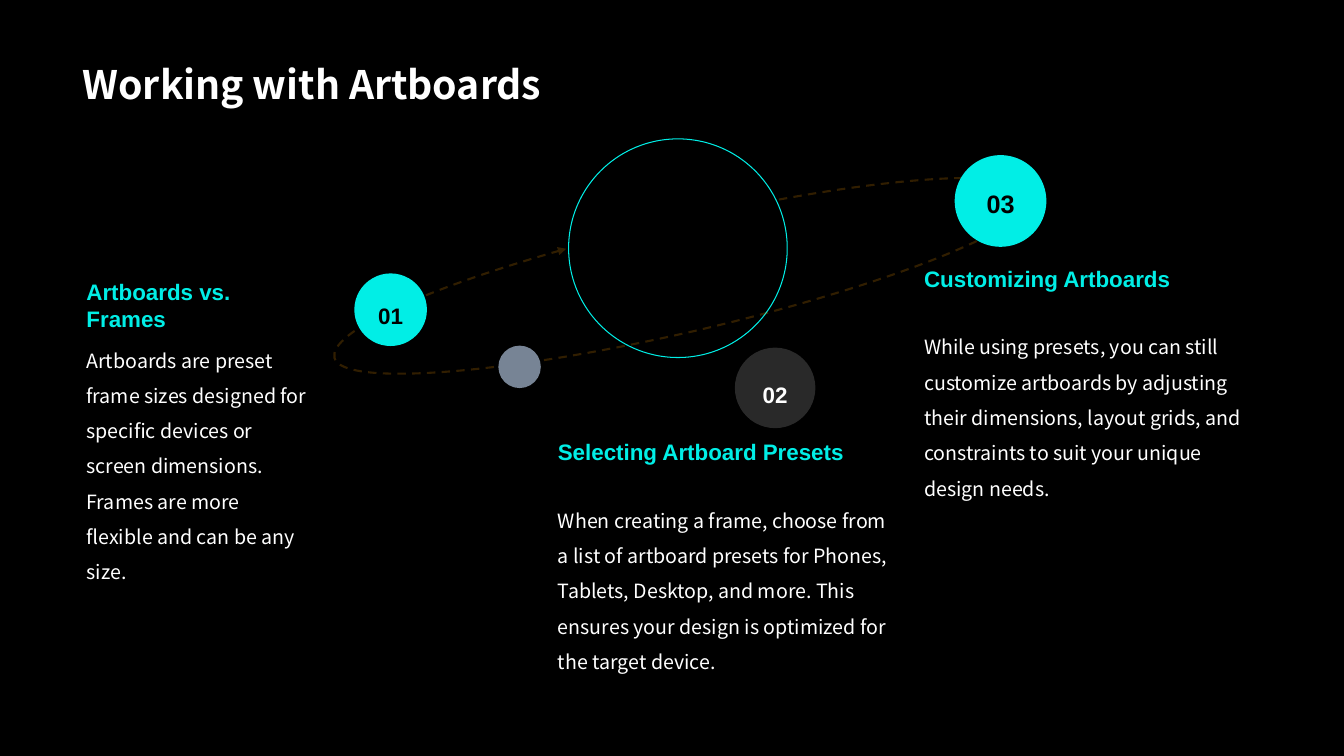
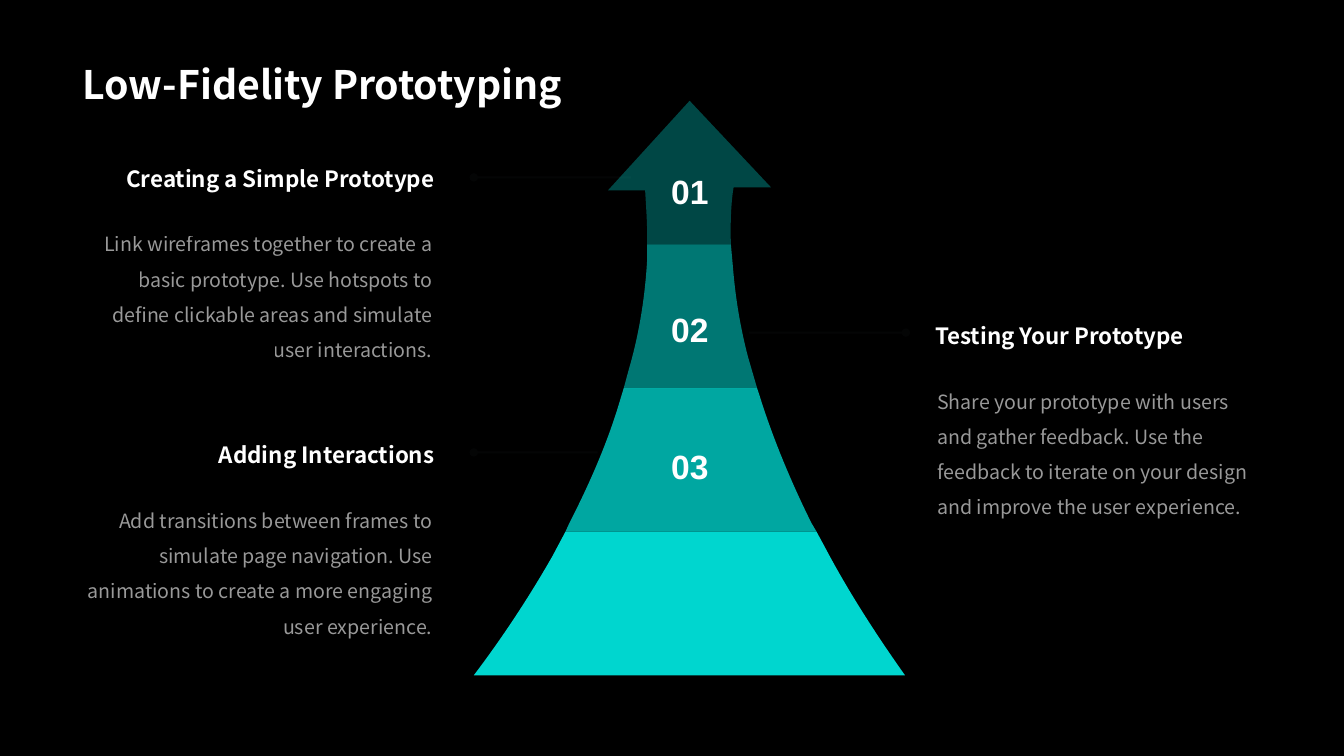
from pptx import Presentation
from pptx import util as u
from pptx.dml.color import RGBColor
from pptx.enum import dml, shapes, text
from pptx.oxml import ns, xmlchemy

BLACK, WHITE, CYAN, GREY, ORANGE = "000000", "FFFFFF", "01EEE6", "778495", "F99A04"
SANS, ARIAL = "Noto Sans CJK SC", "Arial"
LEFT, CENTER, RIGHT = text.PP_ALIGN.LEFT, text.PP_ALIGN.CENTER, text.PP_ALIGN.RIGHT
TOP, MIDDLE, BOTTOM = (text.MSO_ANCHOR.TOP, text.MSO_ANCHOR.MIDDLE,
                       text.MSO_ANCHOR.BOTTOM)

# Text styles: font values, then colour and opacity in percent
TITLE = dict(name=SANS, size=u.Pt(28), bold=True), WHITE, 100
TOPIC = dict(name=ARIAL, size=u.Pt(16), bold=True), CYAN, 100
BODY = dict(name=SANS, size=u.Pt(14), bold=False), WHITE, 100
SUBHEAD = dict(name=SANS, size=u.Pt(16), bold=True), WHITE, 100
MUTED = dict(name=SANS, size=u.Pt(14), bold=False), WHITE, 60
STEP = dict(name=ARIAL, size=u.Pt(24), bold=True), WHITE, 100


def apply(target, values):
    for name, value in values.items():
        setattr(target, name, value)


def child(parent, tag, **attributes):
    element = xmlchemy.OxmlElement(tag)
    for name, value in attributes.items():
        element.set(name, str(value))
    parent.append(element)


def paint(fill, color, opacity=100):
    """Make a fill (of a shape, line or font) solid; opacity is in percent."""
    fill.solid()
    fill.fore_color.rgb = RGBColor.from_string(color)
    if opacity < 100:
        solid = fill._xPr.find(ns.qn("a:solidFill"))
        child(solid[0], "a:alpha", val=opacity * 1000)


def draw_line(line, color, opacity, width, tail):
    paint(line.fill, color, opacity)
    line.width = u.Pt(width)
    child(line._get_or_add_ln(), "a:tailEnd", type=tail)


def write(shape, words, style, align=LEFT, spacing=1.0, anchor=TOP, inset=None,
          auto_size=text.MSO_AUTO_SIZE.NONE):
    font_values, color, opacity = style
    frame = shape.text_frame
    apply(frame, dict(word_wrap=True, auto_size=auto_size, vertical_anchor=anchor))
    if inset is not None:
        sides = ("left", "top", "right", "bottom")
        apply(frame, {f"margin_{side}": u.Cm(inset) for side in sides})
    paragraph = frame.paragraphs[0]
    apply(paragraph, dict(alignment=align, line_spacing=spacing))
    run = paragraph.add_run()
    run.text = words
    apply(run.font, font_values)
    paint(run.font.fill, color, opacity)


def add_text(parent, box, words, style, **layout):
    shape = parent.shapes.add_textbox(*map(u.Cm, box))
    write(shape, words, style, auto_size=text.MSO_AUTO_SIZE.SHAPE_TO_FIT_TEXT, **layout)


def add_circle(slide, left, top, size):
    shape = slide.shapes.add_shape(shapes.MSO_SHAPE.OVAL, *map(u.Cm, (left, top, size, size)))
    shape.shadow.inherit = False
    return shape


def add_outline(parent, left, top, segments, close=True):
    """Outline of points (x, y) and Bézier curves (six numbers)."""
    points = [(u.Cm(left + segment[i]), u.Cm(top + segment[i + 1]))
              for segment in segments for i in range(0, len(segment), 2)]
    builder = parent.shapes.build_freeform(*points[0], scale=1.0)
    builder.add_line_segments(points[1:], close=close)
    shape = builder.convert_to_shape()
    shape.shadow.inherit = False
    lines = iter(shape._element.xpath(".//a:lnTo"))
    for segment in segments[1:]:
        nodes = [next(lines) for _ in range(len(segment) // 2)]
        if len(nodes) == 3:
            curve = xmlchemy.OxmlElement("a:cubicBezTo")
            nodes[0].addprevious(curve)
            for node in nodes:
                curve.append(node[0])
                node.getparent().remove(node)
    return shape


def add_titled_slide(presentation, title):
    slide = presentation.slides.add_slide(presentation.slide_layouts[5])
    shape = slide.shapes.title
    apply(shape, dict(left=u.Cm(1.83), top=u.Cm(0), width=u.Cm(30.18), height=u.Cm(2.84)))
    write(shape, title, TITLE, spacing=0.9, anchor=BOTTOM)
    return slide


def add_orbit(slide, left, top):
    """Ring with a dashed arrow that circles around it."""
    ring = add_circle(slide, left + 6.1, top - 1.15, 5.51)
    ring.fill.background()
    paint(ring.line.fill, CYAN)
    ring.line.width = u.Pt(0.75)

    orbit = add_outline(slide, left, top, [
        (11.4, 0.38),
        (14.99, -0.28, 17.68, -0.36, 17.83, 0.25),
        (18.01, 1.01, 14.2, 2.54, 9.32, 3.68),
        (4.47, 4.8, 0.38, 5.1, 0.2, 4.37),
        (0.05, 3.73, 2.51, 2.61, 6.04, 1.62)], close=False)
    orbit.fill.background()
    orbit.line.dash_style = dml.MSO_LINE.DASH
    draw_line(orbit.line, ORANGE, 20, 1.5, "triangle")

    dot = add_circle(slide, left + 4.33, top + 4.06, 1.07)
    paint(dot.fill, GREY)
    dot.line.fill.background()


def add_badge(slide, box, number, size, fill, opacity, color, anchor):
    badge = add_circle(slide, *box)
    paint(badge.fill, fill, opacity)
    badge.line.fill.background()
    style = dict(name=ARIAL, size=u.Pt(size), bold=True), color, 100
    write(badge, number, style, align=CENTER, spacing=1.5, anchor=anchor)


def add_topic(slide, box, heading, words):
    left, top, width, height = box
    add_text(slide, (left, top, width, 0.94), heading, TOPIC)
    add_text(slide, (left, top + 1.48, width, height - 1.48), words, BODY, spacing=1.5)


def add_note(slide, box, heading, words, align):
    left, top, width, height = box
    add_text(slide, (left, top, width, 1.19), heading, SUBHEAD, align=align, inset=0.25)
    add_text(slide, (left, top + 1.35, width, height - 1.35), words, MUTED,
             align=align, spacing=1.5, inset=0.3)


def add_leader(slide, start, end, y):
    """Very faint line from the arrow towards a note."""
    leader = slide.shapes.add_connector(shapes.MSO_CONNECTOR.STRAIGHT,
                                        *map(u.Cm, (start, y, end, y)))
    draw_line(leader.line, GREY, 4, 1.5, "oval")
    child(leader._element.spPr, "a:effectLst")


def add_rising_arrow(slide, left, top):
    """Arrow of four bands of equal height, brighter towards its foot."""
    first, second, third, foot = (3.62 * level for level in range(1, 5))
    bands = [
        [(5.44, 0), (7.49, 2.18), (6.55, 2.18), (6.55, 2.18, 6.45, 2.67, 6.48, first),
         (4.37, first), (4.37, 3.4), (4.37, 3.02, 4.34, 2.64, 4.32, 2.26), (3.38, 2.26)],
        [(4.37, first), (6.48, first), (6.53, 4.17), (6.58, 4.8, 6.68, 5.56, 6.91, 6.45),
         (7.14, second), (3.78, second), (3.91, 6.76),
         (4.17, 5.87, 4.32, 4.93, 4.37, 3.99)],
        [(3.78, second), (7.14, second), (7.19, 7.39),
         (7.49, 8.36, 7.92, 9.45, 8.51, 10.64), (8.64, third), (2.31, third),
         (2.41, 10.64), (2.84, 9.8, 3.28, 8.84, 3.61, 7.8)],
        [(2.31, third), (8.64, third), (8.84, 11.23),
         (9.37, 12.24, 10.06, 13.34, 10.87, foot), (0, foot),
         (0.13, 14.3, 1.02, 13.16, 1.98, 11.48)],
    ]
    for index, segments in enumerate(bands):
        numbered = index < 3
        parent = slide.shapes.add_group_shape() if numbered else slide
        band = add_outline(parent, left, top, segments)
        paint(band.fill, CYAN, 30 + 20 * index)
        band.line.fill.background()
        if numbered:
            box = left + 4.67, top + 1.52 + 3.46 * index, 1.55, 1.52
            add_text(parent, box, f"{index + 1:02}", STEP, align=CENTER, anchor=BOTTOM,
                     inset=0.25)


def build_artboards(presentation):
    slide = add_titled_slide(presentation, "Working with Artboards")
    add_orbit(slide, 8.23, 4.65)
    for badge in (
            ((8.93, 6.89, 1.83), "01", 16, CYAN, 100, BLACK, TOP),
            ((18.52, 8.76, 2.03), "02", 16, WHITE, 16, WHITE, MIDDLE),
            ((24.06, 3.91, 2.31), "03", 18, CYAN, 100, BLACK, TOP)):
        add_badge(slide, *badge)
    for topic in (
            ((1.93, 6.88, 6.15, 7.9), "Artboards vs. Frames",
             "Artboards are preset frame sizes designed for specific devices or screen "
             "dimensions. Frames are more flexible and can be any size."),
            ((13.81, 10.92, 8.89, 6.12), "Selecting Artboard Presets",
             "When creating a frame, choose from a list of artboard presets for Phones, "
             "Tablets, Desktop, and more. This ensures your design is optimized for the "
             "target device."),
            ((23.04, 6.55, 8.89, 6.12), "Customizing Artboards",
             "While using presets, you can still customize artboards by adjusting their "
             "dimensions, layout grids, and constraints to suit your unique design needs.")):
        add_topic(slide, *topic)


def build_prototyping(presentation):
    slide = add_titled_slide(presentation, "Low-Fidelity Prototyping")
    for leader in ((15.9, 11.94, 4.47), (18.87, 22.83, 8.38), (15.06, 11.94, 11.4)):
        add_leader(slide, *leader)
    add_rising_arrow(slide, 11.94, 2.54)
    for note in (
            ((1.83, 3.91, 9.37, 6.33), "Creating a Simple Prototype",
             "Link wireframes together to create a basic prototype. Use hotspots to define "
             "clickable areas and simulate user interactions.", RIGHT),
            ((1.83, 10.87, 9.37, 6.33), "Adding Interactions",
             "Add transitions between frames to simulate page navigation. Use animations "
             "to create a more engaging user experience.", RIGHT),
            ((23.32, 7.87, 8.69, 6.33), "Testing Your Prototype",
             "Share your prototype with users and gather feedback. Use the feedback to "
             "iterate on your design and improve the user experience.", LEFT)):
        add_note(slide, *note)


def main():
    presentation = Presentation()
    apply(presentation, dict(slide_width=u.Cm(33.87), slide_height=u.Cm(19.05)))
    paint(presentation.slide_master.background.fill, BLACK)
    build_artboards(presentation)
    build_prototyping(presentation)
    presentation.save("out.pptx")


if __name__ == "__main__":
    main()
